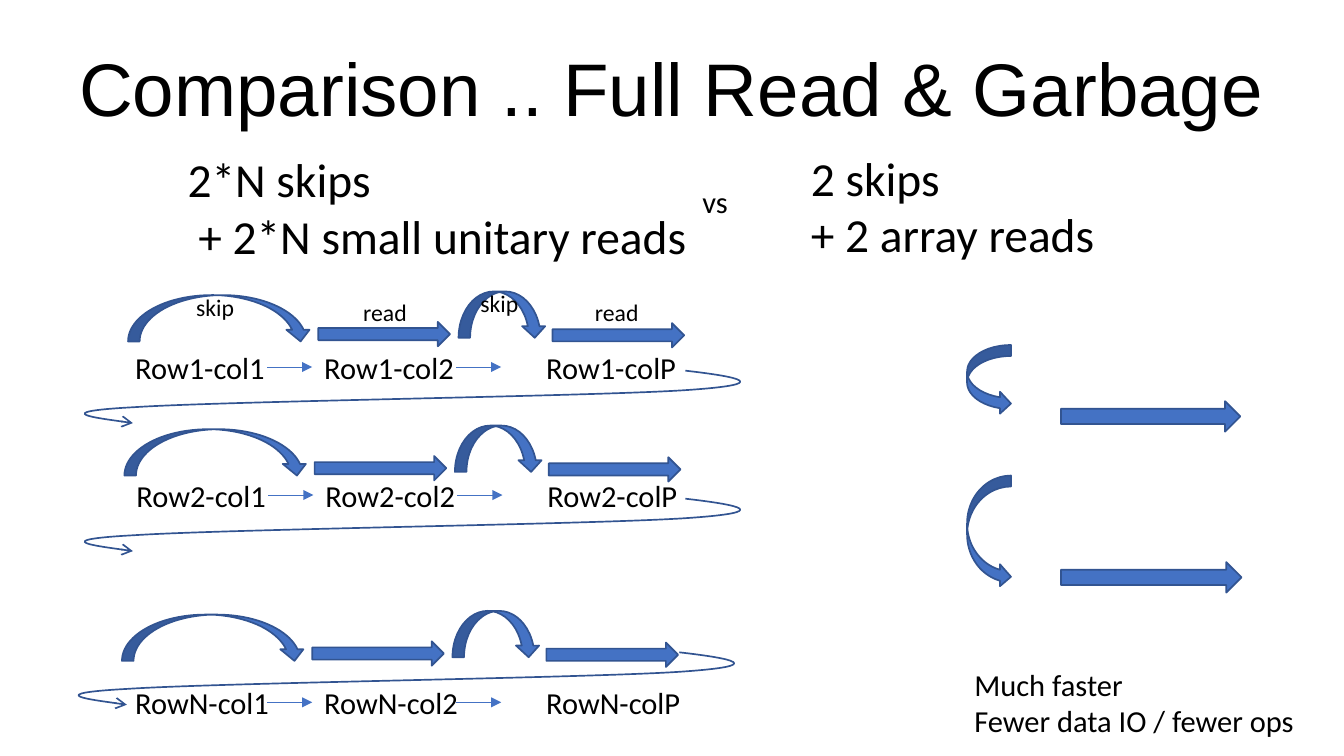
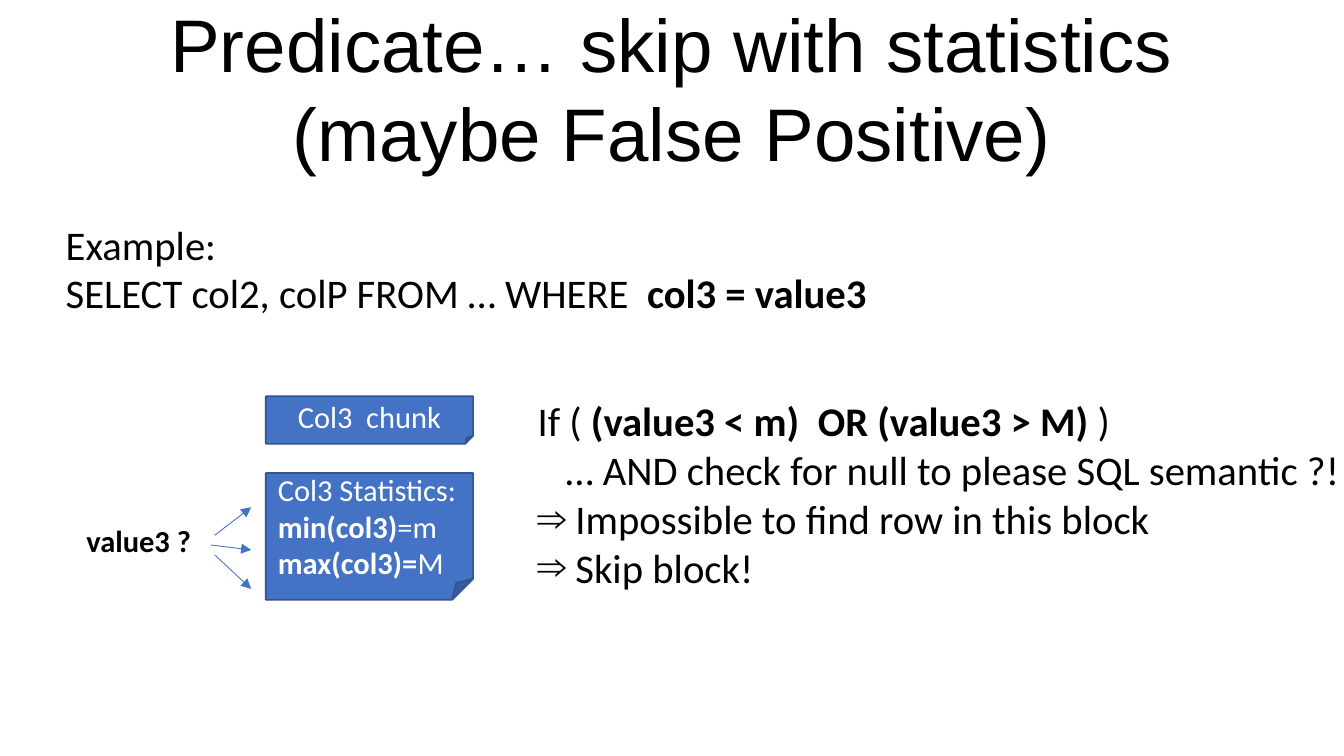
from dataclasses import dataclass
from typing import NamedTuple, Sequence

from lxml import etree
from pptx import Presentation
from pptx import util as u
from pptx.dml.color import RGBColor
from pptx.enum import shapes, text
from pptx.oxml import ns

PX = u.Inches(1) // 100  # one px is a hundredth of an inch


@dataclass(frozen=True)
class Theme:
    ink: RGBColor = RGBColor(0x00, 0x00, 0x00)
    paper: RGBColor = RGBColor(0xFF, 0xFF, 0xFF)
    blue: RGBColor = RGBColor(0x44, 0x72, 0xC4)
    outline: RGBColor = RGBColor(0x32, 0x54, 0x91)
    title_font: str = "Arial"
    body_font: str = "Calibri"
    title: int = 44
    heading: int = 28
    body: int = 24
    label: int = 18
    small: int = 14


THEME = Theme()


class Box(NamedTuple):
    left: int
    top: int
    width: int
    height: int

    def emu(self) -> list[int]:
        return [length * PX for length in self]


class Point(NamedTuple):
    x: int
    y: int


class Line(NamedTuple):
    """A paragraph; stretches between ** marks are bold."""
    words: str
    indent: int = 0
    bullet: str = ""


class Note(NamedTuple):
    box: Box
    lines: Sequence[Line]
    size: int
    wrap: bool = False


class Block(NamedTuple):
    kind: shapes.MSO_SHAPE
    box: Box


class TableRow(NamedTuple):
    name: str
    labels: Point   # top left of the first label
    icons: Point    # top left of the first skip arrow
    wrap: Point     # start of the curve to the next row
    label_width: int


# Text
def write_lines(frame, lines: Sequence[Line], size: int, color: RGBColor,
                font: str = THEME.body_font, align=text.PP_ALIGN.LEFT) -> None:
    frame.text = "\n".join(line.words.replace("**", "") for line in lines)
    for paragraph, line in zip(frame.paragraphs, lines):
        paragraph.alignment = align
        if "**" in line.words:
            paragraph.clear()
            for index, piece in enumerate(line.words.split("**")):
                if piece:
                    run = paragraph.add_run()
                    run.text = piece
                    run.font.bold = index % 2 == 1
        if line.indent:
            properties = paragraph._p.get_or_add_pPr()
            properties.set("marL", str(line.indent * PX))
            if line.bullet:
                properties.set("indent", str(-line.indent * PX))
                etree.SubElement(properties, ns.qn("a:buFont"), typeface="Arial")
                etree.SubElement(properties, ns.qn("a:buChar"), char=line.bullet)
        for run in paragraph.runs:
            run.font.name = font
            run.font.size = u.Pt(size)
            run.font.color.rgb = color


def add_note(slide, note: Note):
    written = slide.shapes.add_textbox(*note.box.emu())
    frame = written.text_frame
    write_lines(frame, note.lines, note.size, THEME.ink)
    frame.word_wrap = note.wrap
    frame.auto_size = text.MSO_AUTO_SIZE.SHAPE_TO_FIT_TEXT
    return written


def add_titled_slide(deck, *title_lines: str):
    slide = deck.slides.add_slide(deck.slide_layouts[5])
    title = slide.shapes.title
    title.left, title.top, title.width, title.height = Box(55, 1, 992, 141).emu()
    frame = title.text_frame
    write_lines(frame, [Line(words) for words in title_lines], THEME.title,
                THEME.ink, THEME.title_font, text.PP_ALIGN.CENTER)
    for paragraph in frame.paragraphs:
        paragraph.line_spacing = 1.0
        paragraph.space_before = u.Pt(0)
    frame.margin_left = frame.margin_right = 0
    frame.margin_top = frame.margin_bottom = 0
    frame.vertical_anchor = text.MSO_ANCHOR.MIDDLE
    frame.auto_size = text.MSO_AUTO_SIZE.NONE
    frame.word_wrap = True
    return slide


# Shapes and lines
def add_block(slide, block: Block):
    drawn = slide.shapes.add_shape(block.kind, *block.box.emu())
    drawn.shadow.inherit = False
    drawn.fill.solid()
    drawn.fill.fore_color.rgb = THEME.blue
    drawn.line.color.rgb = THEME.outline
    drawn.line.width = u.Pt(1)
    return drawn


def add_folded_block(slide, box: Box, lines: Sequence[Line], align) -> None:
    folded = add_block(slide, Block(shapes.MSO_SHAPE.FOLDED_CORNER, box))
    frame = folded.text_frame
    write_lines(frame, lines, THEME.label, THEME.paper, align=align)
    frame.vertical_anchor = text.MSO_ANCHOR.MIDDLE
    frame.word_wrap = True


def add_arrowhead(line, style: str) -> None:
    etree.SubElement(line._get_or_add_ln(), ns.qn("a:tailEnd"), type=style)


def add_thin_arrow(slide, start: Point, end: Point):
    arrow = slide.shapes.add_connector(
        shapes.MSO_CONNECTOR.STRAIGHT, *(value * PX for value in (*start, *end)))
    arrow.line.color.rgb = THEME.blue
    arrow.line.width = u.Pt(0.5)
    add_arrowhead(arrow.line, "triangle")
    etree.SubElement(arrow._element.spPr, ns.qn("a:effectLst"))
    return arrow


# Points measured from the curve's left edge and top; each bend has
# two controls and an end
WRAP_WIDTH, WRAP_HEIGHT = 531, 43
WRAP_START = Point(485, 0)
WRAP_BENDS = (
    (Point(528, 5), Point(560, 11), Point(485, 16)),
    (Point(410, 21), Point(109, 25), Point(33, 30)),
    (Point(-42, 34), Point(32, 43), Point(32, 43)),
)


def add_wrap_curve(slide, start: Point) -> None:
    left = start.x - WRAP_START.x
    builder = slide.shapes.build_freeform(start.x, start.y, scale=PX)
    builder.add_line_segments(
        [(left + bend[-1].x, start.y + bend[-1].y) for bend in WRAP_BENDS], close=False)
    curve = builder.convert_to_shape()
    curve.left, curve.top, curve.width, curve.height = Box(
        left, start.y, WRAP_WIDTH, WRAP_HEIGHT).emu()

    # Turn the straight segments into Bézier bends
    outline = curve._element.spPr.find(".//" + ns.qn("a:path"))
    outline.set("w", str(WRAP_WIDTH))
    outline.set("h", str(WRAP_HEIGHT))
    for segment in list(outline):
        outline.remove(segment)
    for tag, points in (("a:moveTo", (WRAP_START,)),
                        *(("a:cubicBezTo", bend) for bend in WRAP_BENDS)):
        segment = etree.SubElement(outline, ns.qn(tag))
        for point in points:
            etree.SubElement(segment, ns.qn("a:pt"), x=str(point.x), y=str(point.y))

    curve.shadow.inherit = False
    curve.fill.background()
    curve.line.color.rgb = THEME.outline
    curve.line.width = u.Pt(1)
    add_arrowhead(curve.line, "arrow")


# Slide 1: reading row by row against reading by column
LABEL_OFFSETS = {"col1": 0, "col2": 155, "colP": 337}
ROWS = (
    TableRow("Row1", Point(101, 281), Point(105, 242), Point(562, 304), 128),
    TableRow("Row2", Point(102, 386), Point(102, 352), Point(562, 409), 128),
    TableRow("RowN", Point(101, 556), Point(100, 504), Point(557, 535), 131),
)
SKIP, READ = shapes.MSO_SHAPE.CURVED_DOWN_ARROW, shapes.MSO_SHAPE.RIGHT_ARROW
JUMP = shapes.MSO_SHAPE.CURVED_RIGHT_ARROW
ROW_ICONS = (
    Block(SKIP, Box(0, 0, 151, 38)),
    Block(READ, Box(156, 22, 108, 20)),
    Block(SKIP, Box(271, -3, 72, 38)),
    Block(READ, Box(348, 23, 108, 20)),
)
COLUMN_ICONS = (
    Block(READ, Box(870, 329, 147, 25)),
    Block(READ, Box(870, 461, 148, 25)),
    Block(JUMP, Box(793, 283, 36, 57)),
    Block(JUMP, Box(793, 390, 36, 92)),
)
COMPARISON_NOTES = (
    Note(Box(655, 117, 255, 104), [Line("2 skips \v+ 2 array reads")], THEME.heading),
    Note(Box(144, 118, 434, 104),
         [Line("2*N skips\v + 2*N small unitary reads")], THEME.heading),
    Note(Box(566, 145, 41, 40), [Line("vs")], THEME.label),
    Note(Box(151, 235, 52, 34), [Line("skip")], THEME.small),
    Note(Box(288, 239, 56, 34), [Line("read")], THEME.small),
    Note(Box(384, 232, 52, 34), [Line("skip")], THEME.small),
    Note(Box(478, 239, 56, 34), [Line("read")], THEME.small),
    Note(Box(789, 541, 285, 71),
         [Line("Much faster"), Line("Fewer data IO / fewer ops")], THEME.label),
)


def add_row(slide, row: TableRow) -> None:
    left, top = row.labels
    labels = {
        column: add_note(slide, Note(Box(left + offset, top, row.label_width, 40),
                                     [Line(f"{row.name}-{column}")], THEME.label))
        for column, offset in LABEL_OFFSETS.items()}
    middle = top + 20
    to_second = add_thin_arrow(slide, Point(left + 118, middle), Point(left + 155, middle))
    to_second.end_connect(labels["col2"], 1)
    add_thin_arrow(slide, Point(left + 273, middle), Point(left + 310, middle))
    add_wrap_curve(slide, row.wrap)
    for kind, box in ROW_ICONS:
        add_block(slide, Block(kind, box._replace(left=row.icons.x + box.left,
                                                  top=row.icons.y + box.top)))


def build_comparison(deck) -> None:
    slide = add_titled_slide(deck, "Comparison .. Full Read & Garbage")
    for row in ROWS:
        add_row(slide, row)
    for icon in COLUMN_ICONS:
        add_block(slide, icon)
    for note in COMPARISON_NOTES:
        add_note(slide, note)


# Slide 2: skipping a block by its statistics
PREDICATE_NOTES = (
    Note(Box(44, 175, 711, 91),
         [Line("Example:"),
          Line("SELECT col2, colP FROM … WHERE  **col3 = value3**")], THEME.body, True),
    Note(Box(431, 320, 683, 172),
         [Line("If ( **(value3 < m)  OR (value3 > M)** )"),
          Line("… AND check for null to please SQL semantic ?!", 23),
          Line("Impossible to find row in this block", 31, "⇒"),
          Line("Skip block!", 31, "⇒")], THEME.body),
    Note(Box(61, 423, 107, 40), [Line("**value3 ?**")], THEME.label),
)
VALUE_ARROWS = (
    (Point(176, 439), Point(206, 416)),
    (Point(176, 455), Point(206, 483)),
    (Point(173, 447), Point(206, 451)),
)


def build_predicate(deck) -> None:
    slide = add_titled_slide(deck, "Predicate… skip with statistics",
                             "(maybe False Positive)")
    add_folded_block(slide, Box(218, 388, 170, 104),
                     [Line("Col3 Statistics:"), Line("**min(col3)**=m"),
                      Line("**max(col3)=**M")], text.PP_ALIGN.LEFT)
    add_folded_block(slide, Box(218, 325, 170, 39), [Line("Col3  chunk")],
                     text.PP_ALIGN.CENTER)
    for note in PREDICATE_NOTES:
        add_note(slide, note)
    for start, end in VALUE_ARROWS:
        add_thin_arrow(slide, start, end)


def main() -> None:
    deck = Presentation()
    deck.slide_width, deck.slide_height = 1102 * PX, 620 * PX
    build_comparison(deck)
    build_predicate(deck)
    deck.save("out.pptx")


if __name__ == "__main__":
    main()
